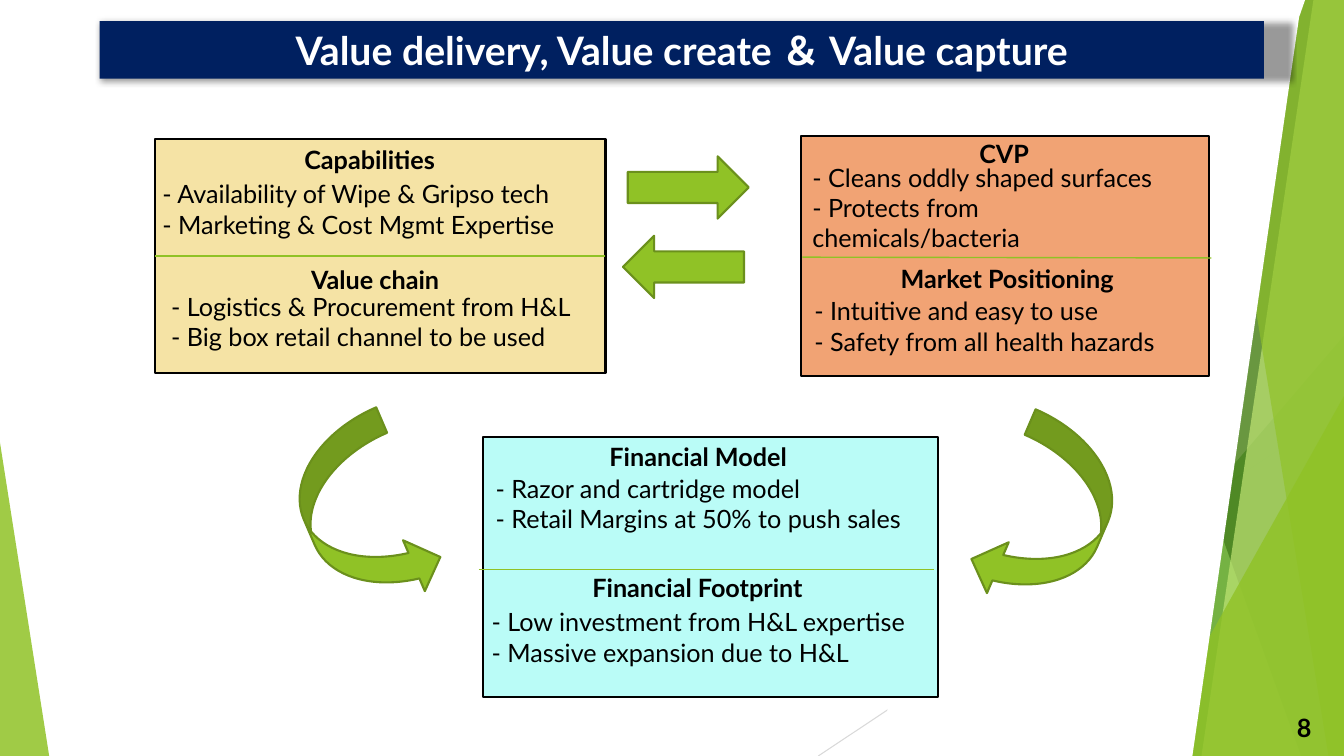
import lxml.etree
import pptx
import pptx.enum.shapes
import pptx.enum.text
import pptx.oxml.ns
import pptx.util

Cm = pptx.util.Cm
Pt = pptx.util.Pt
qn = pptx.oxml.ns.qn
SHAPE = pptx.enum.shapes.MSO_SHAPE
ALIGN = pptx.enum.text.PP_ALIGN
ANCHOR = pptx.enum.text.MSO_ANCHOR

WIDTH, HEIGHT = 33.87, 19.05
GREEN = "90C226"


def paint(fill, colour):
    fill.solid()
    fill.fore_color.rgb = pptx.dml.color.RGBColor.from_string(colour)


def write_text(shape, lines, size=18, bold=False, colour="000000", align=ALIGN.LEFT, anchor=ANCHOR.TOP):
    frame = shape.text_frame
    frame_format = {
        "word_wrap": True, "auto_size": pptx.enum.text.MSO_AUTO_SIZE.NONE, "vertical_anchor": anchor,
        "margin_left": Cm(0.25), "margin_right": Cm(0.25), "margin_top": Cm(0.13), "margin_bottom": Cm(0.13),
    }
    for name, value in frame_format.items():
        setattr(frame, name, value)
    frame.text = "\n".join(lines)
    for paragraph in frame.paragraphs:
        properties = paragraph._p.get_or_add_pPr()
        properties.set("marL", "0")
        properties.set("indent", "0")
        lxml.etree.SubElement(properties, qn("a:buNone"))
        paragraph_format = {"alignment": align, "line_spacing": 1.0, "space_before": Pt(0), "space_after": Pt(0)}
        for name, value in paragraph_format.items():
            setattr(paragraph, name, value)
        font = paragraph.runs[0].font
        for name, value in {"name": "Lato", "size": Pt(size), "bold": bold}.items():
            setattr(font, name, value)
        paint(font.fill, colour)


presentation = pptx.Presentation()
presentation.slide_width = Cm(WIDTH)
presentation.slide_height = Cm(HEIGHT)
slide = presentation.slides.add_slide(presentation.slide_layouts.get_by_name("Comparison"))
shapes = slide.shapes
body_placeholders = [shape for shape in slide.placeholders if shape.placeholder_format.idx > 0]

corner_line = (WIDTH, 10.24, 20.62, HEIGHT, "D9D9D9", 0.75)
dividers = [
    (3.91, 6.45, 15.24, 6.45, GREEN, 1),
    (20.22, 6.48, 30.53, 6.5, GREEN, 1),
    (12.07, 14.35, 23.55, 14.35, GREEN, 1),
]

facets = [
    ("quad", GREEN, 30, (31.19, 25.5)),
    ("quad", GREEN, 20, (26.67, 30.05)),
    ("triangle", "54A021", 72, (24.82, 8.46, 9.05, 10.59, 1)),
    ("quad", "3F7819", 70, (25.93, 32.79)),
    ("quad", "C0E474", 70, (33.1, 30.28)),
    ("quad", GREEN, 65, (30.38, 33.48)),
    ("triangle", GREEN, 80, (28.8, 9.98, 5.07, 9.07, 1)),
    ("triangle", GREEN, 85, (0, 11.15, 1.24, 7.9, 0)),
    ("panel", "FFFFFF", 100, [(24.89, 0), (32.89, 0), (32.74, 0.43), (30.05, HEIGHT), (22.2, HEIGHT)]),
]

boxes = [
    ("BAFCF7", 12.17, 11.02, 11.46, 6.55),
    ("F1A374", 20.19, 3.43, 10.29, 6.05),
    ("F5E3A5", 3.91, 3.51, 11.35, 5.89),
]

arrows = [
    (SHAPE.RIGHT_ARROW, 15.82, 3.94, 3.05, 1.57, 0, False),
    (SHAPE.RIGHT_ARROW, 15.7, 5.94, 3.05, 1.57, 180, False),
    (SHAPE.CURVED_RIGHT_ARROW, 7.75, 10.62, 2.79, 4.8, 336.8, False),
    (SHAPE.CURVED_RIGHT_ARROW, 25.04, 10.67, 2.79, 4.8, 23.2, True),
]

sections = [
    ("Capabilities", (7.42, 3.51, 4.24), (3.84, 4.37, 10.77),
     ["- Availability of Wipe & Gripso tech", "- Marketing & Cost Mgmt Expertise"]),
    ("Value chain", (7.59, 6.53, 5.84), (4.06, 7.21, 11.05),
     ["- Logistics & Procurement from H&L", "- Big box retail channel to be used"]),
    ("CVP", (24.43, 3.35, 1.83), (20.22, 3.96, 9.8),
     ["- Cleans oddly shaped surfaces", "- Protects from chemicals/bacteria"]),
    ("Market Positioning", (22.45, 6.5, 7.16), (20.27, 7.32, 9.8),
     ["- Intuitive and easy to use", "- Safety from all health hazards"]),
    ("Financial Model", (15.11, 11, 6.86), (12.24, 11.79, 10.77),
     ["- Razor and cartridge model", "- Retail Margins at 50% to push sales"]),
    ("Financial Footprint", (14.68, 14.3, 6.86), (12.14, 15.16, 11.33),
     ["- Low investment from H&L expertise", "- Massive expansion due to H&L"]),
]

connectors = []
for start_x, start_y, end_x, end_y, colour, weight in [corner_line, *dividers]:
    connector = shapes.add_connector(
        pptx.enum.shapes.MSO_CONNECTOR.STRAIGHT, Cm(start_x), Cm(start_y), Cm(end_x), Cm(end_y))
    paint(connector.line.fill, colour)
    connector.line.width = Pt(weight)
    lxml.etree.SubElement(connector._element.spPr, qn("a:effectLst"))
    connectors.append(connector)

for kind, colour, opacity, outline in facets:
    if kind == "triangle":
        left, top, width, height, apex = outline
        shape = shapes.add_shape(SHAPE.ISOSCELES_TRIANGLE, Cm(left), Cm(top), Cm(width), Cm(height))
        shape.adjustments[0] = apex
    else:
        points = outline
        if kind == "quad":
            top_x, bottom_x = outline
            points = [(top_x, 0), (WIDTH, 0), (WIDTH, HEIGHT), (bottom_x, HEIGHT)]
        corners = [(Cm(x), Cm(y)) for x, y in points]
        builder = shapes.build_freeform(*corners[0])
        builder.add_line_segments(corners[1:], close=True)
        shape = builder.convert_to_shape()
    paint(shape.fill, colour)
    shape.line.fill.background()
    shape.shadow.inherit = False
    colour_element = shape._element.spPr.find(qn("a:solidFill")).find(qn("a:srgbClr"))
    lxml.etree.SubElement(colour_element, qn("a:alpha"), val=str(opacity * 1000))

title = shapes.title
for name, value in {"left": 2.51, "top": 0.53, "width": 29.34, "height": 1.45}.items():
    setattr(title, name, Cm(value))
paint(title.fill, "002060")
title.shadow.inherit = False
shadow = lxml.etree.SubElement(
    title._element.spPr.find(qn("a:effectLst")), qn("a:outerShdw"),
    blurRad=str(Pt(5)), sx="102000", sy="102000", algn="ctr", rotWithShape="0")
shadow_colour = lxml.etree.SubElement(shadow, qn("a:srgbClr"), val="000000")
lxml.etree.SubElement(shadow_colour, qn("a:alpha"), val="40000")
write_text(title, ["Value delivery, Value create ＆ Value capture"], 28, True, "FFFFFF", ALIGN.CENTER, ANCHOR.MIDDLE)
shapes._spTree.append(title._element)

for colour, left, top, width, height in boxes:
    box = shapes.add_shape(SHAPE.RECTANGLE, Cm(left), Cm(top), Cm(width), Cm(height))
    paint(box.fill, colour)
    paint(box.line.fill, "000000")
    box.line.width = Pt(1.5)
    box.shadow.inherit = False

for divider in connectors[1:]:
    shapes._spTree.append(divider._element)

for kind, left, top, width, height, rotation, flipped in arrows:
    arrow = shapes.add_shape(kind, Cm(left), Cm(top), Cm(width), Cm(height))
    arrow.rotation = rotation
    if flipped:
        arrow._element.spPr.find(qn("a:xfrm")).set("flipH", "1")
    paint(arrow.fill, GREEN)
    paint(arrow.line.fill, "6B901C")
    arrow.line.width = Pt(1.5)
    arrow.shadow.inherit = False

for index, (heading, heading_place, list_place, items) in enumerate(sections):
    left, top, width = heading_place
    heading_box = shapes.add_textbox(Cm(left), Cm(top), Cm(width), Cm(1.02))
    write_text(heading_box, [heading], bold=True)
    left, top, width = list_place
    if index < len(body_placeholders):
        list_box = body_placeholders[index]
        for name, value in {"left": left, "top": top, "width": width, "height": 1.83}.items():
            setattr(list_box, name, Cm(value))
        shapes._spTree.append(list_box._element)
    else:
        list_box = shapes.add_textbox(Cm(left), Cm(top), Cm(width), Cm(1.83))
    write_text(list_box, items)

number_box = shapes.add_textbox(Cm(31.39), Cm(17.83), Cm(1.91), Cm(1.02))
write_text(number_box, ["8"], bold=True, align=ALIGN.RIGHT, anchor=ANCHOR.MIDDLE)

presentation.save("out.pptx")
